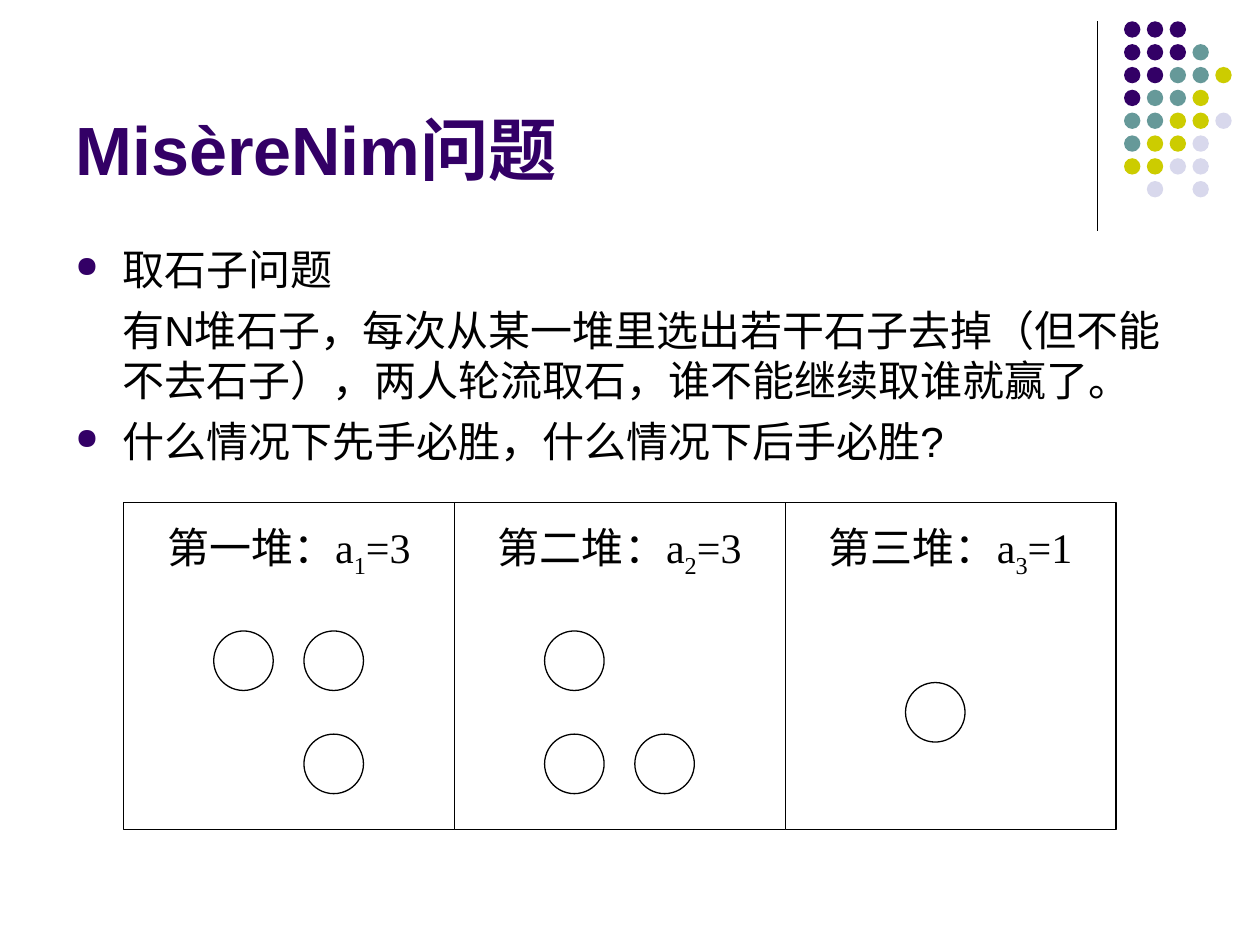
from dataclasses import dataclass

from lxml.etree import SubElement
from pptx import Presentation
from pptx.dml.color import RGBColor
from pptx.enum.shapes import MSO_CONNECTOR, MSO_SHAPE
from pptx.enum.text import MSO_ANCHOR, PP_ALIGN
from pptx.oxml.ns import qn
from pptx.shapes.autoshape import Shape
from pptx.shapes.shapetree import GroupShapes
from pptx.slide import Slide
from pptx.text.text import TextFrame, _Paragraph as Paragraph, _Run as Run
from pptx.util import Cm, Pt

PURPLE, TEAL, OLIVE, LILAC = "330066", "669999", "CCCC00", "D8D8EC"
BLACK, WHITE = "000000", "FFFFFF"

DOT_COLOURS = {"P": PURPLE, "T": TEAL, "O": OLIVE, "L": LILAC}
DOT_ROWS = ["PPP", "PPPT", "PPTTO", "PTTO", "TTOOL", "TOOL", "OOLL", " L L"]
DOT_LEFT, DOT_TOP, DOT_STEP, DOT_SIZE = 22.66, 0.43, 0.46, 0.33

PILE_LEFT, PILE_TOP, PILE_WIDTH, PILE_HEIGHT = 2.49, 10.13, 6.67, 6.6
COLUMN = PILE_WIDTH / 11
STONE_TOP, STONE_STEP, STONE_SIZE = 2.59, 1.04, 1.2


@dataclass
class Pile:
    name: str
    index: str
    stones: list[tuple[int, int]]  # column and row inside the pile


@dataclass
class Point:
    text: str
    bulleted: bool


PILES = [
    Pile("第一堆：", "1", [(3, 0), (6, 0), (6, 2)]),
    Pile("第二堆：", "2", [(3, 0), (6, 2), (3, 2)]),
    Pile("第三堆：", "3", [(4, 1)]),
]
POINTS = [
    Point("取石子问题", True),
    Point("有N堆石子，每次从某一堆里选出若干石子去掉（但不能不去石子），"
          "两人轮流取石，谁不能继续取谁就赢了。", False),
    Point("什么情况下先手必胜，什么情况下后手必胜?", True),
]


def colour(code: str) -> RGBColor:
    return RGBColor.from_string(code)


def style_run(span: Run, font: str, size: float, code: str, bold: bool = False) -> None:
    span.font.name = font
    span.font.size = Pt(size)
    span.font.bold = bold
    span.font.color.rgb = colour(code)


def add_figure(shapes: GroupShapes, kind: MSO_SHAPE, left: float, top: float,
               width: float, height: float, fill: str, outlined: bool) -> Shape:
    figure = shapes.add_shape(kind, Cm(left), Cm(top), Cm(width), Cm(height))
    figure.shadow.inherit = False
    figure.fill.solid()
    figure.fill.fore_color.rgb = colour(fill)
    if outlined:
        figure.line.color.rgb = colour(BLACK)
        figure.line.width = Pt(0.75)
    else:
        figure.line.fill.background()
    return figure


def add_text_frame(shapes: GroupShapes, left: float, top: float,
                   width: float, height: float) -> TextFrame:
    box = shapes.add_textbox(Cm(left), Cm(top), Cm(width), Cm(height))
    box.text_frame.word_wrap = True
    return box.text_frame


def add_corner(page: Slide) -> None:
    """Draw the vertical rule and the dot pattern at the top right."""
    rule = page.shapes.add_connector(MSO_CONNECTOR.STRAIGHT, Cm(22.12), Cm(0.43),
                                     Cm(22.12), Cm(4.65))
    rule.line.color.rgb = colour(BLACK)
    rule.line.width = Pt(0.75)
    SubElement(rule._element.spPr, qn("a:effectLst"))
    dots = page.shapes.add_group_shape().shapes
    for row, letters in enumerate(DOT_ROWS):
        for column, letter in enumerate(letters):
            if letter in DOT_COLOURS:
                add_figure(dots, MSO_SHAPE.OVAL, DOT_LEFT + column * DOT_STEP,
                           DOT_TOP + row * DOT_STEP, DOT_SIZE, DOT_SIZE,
                           DOT_COLOURS[letter], outlined=False)


def add_title(page: Slide) -> None:
    frame = add_text_frame(page.shapes, 1.27, 0.33, 20.96, 3.6)
    frame.vertical_anchor = MSO_ANCHOR.BOTTOM
    frame.text = "MisèreNim问题"
    style_run(frame.paragraphs[0].runs[0], "Arial", 39, PURPLE, bold=True)


def indent_paragraph(para: Paragraph, bulleted: bool) -> None:
    properties = para._p.get_or_add_pPr()
    properties.set("marL", str(Cm(0.95)))
    properties.set("indent", str(Cm(-0.95 if bulleted else 0)))
    if bulleted:
        bullet_colour = SubElement(properties, qn("a:buClr"))
        SubElement(bullet_colour, qn("a:srgbClr"), val=PURPLE)
        SubElement(properties, qn("a:buSzPct"), val="70000")
        SubElement(properties, qn("a:buChar"), char="●")


def add_points(page: Slide) -> None:
    frame = add_text_frame(page.shapes, 1.27, 4.78, 22.86, 12.24)
    frame.text = "\n".join(point.text for point in POINTS)
    for number, (para, point) in enumerate(zip(frame.paragraphs, POINTS)):
        indent_paragraph(para, point.bulleted)
        if number:
            para.space_before = Pt(6)
        style_run(para.runs[0], "Arial", 24, BLACK)


def add_pile_label(shapes: GroupShapes, pile: Pile, left: float) -> None:
    frame = add_text_frame(shapes, left, PILE_TOP + 0.26, PILE_WIDTH, 2.34)
    para = frame.paragraphs[0]
    para.alignment = PP_ALIGN.CENTER
    for text in (f"{pile.name}a", pile.index, f"={len(pile.stones)}"):
        span = para.add_run()
        span.text = text
        style_run(span, "Times New Roman", 24, BLACK)
    para.runs[1]._r.get_or_add_rPr().set("baseline", "-25000")


def add_piles(page: Slide) -> None:
    shapes = page.shapes.add_group_shape().shapes
    for number, pile in enumerate(PILES):
        left = PILE_LEFT + number * PILE_WIDTH
        add_figure(shapes, MSO_SHAPE.RECTANGLE, left, PILE_TOP,
                   PILE_WIDTH, PILE_HEIGHT, WHITE, outlined=True)
        for column, row in pile.stones:
            add_figure(shapes, MSO_SHAPE.OVAL, left + column * COLUMN,
                       PILE_TOP + STONE_TOP + row * STONE_STEP,
                       STONE_SIZE, STONE_SIZE, WHITE, outlined=True)
        add_pile_label(shapes, pile, left)


def main() -> None:
    deck = Presentation()
    deck.slide_width, deck.slide_height = Cm(25.4), Cm(19.05)
    page = deck.slides.add_slide(deck.slide_layouts[6])
    add_corner(page)
    add_title(page)
    add_points(page)
    add_piles(page)
    deck.save("out.pptx")


if __name__ == "__main__":
    main()
